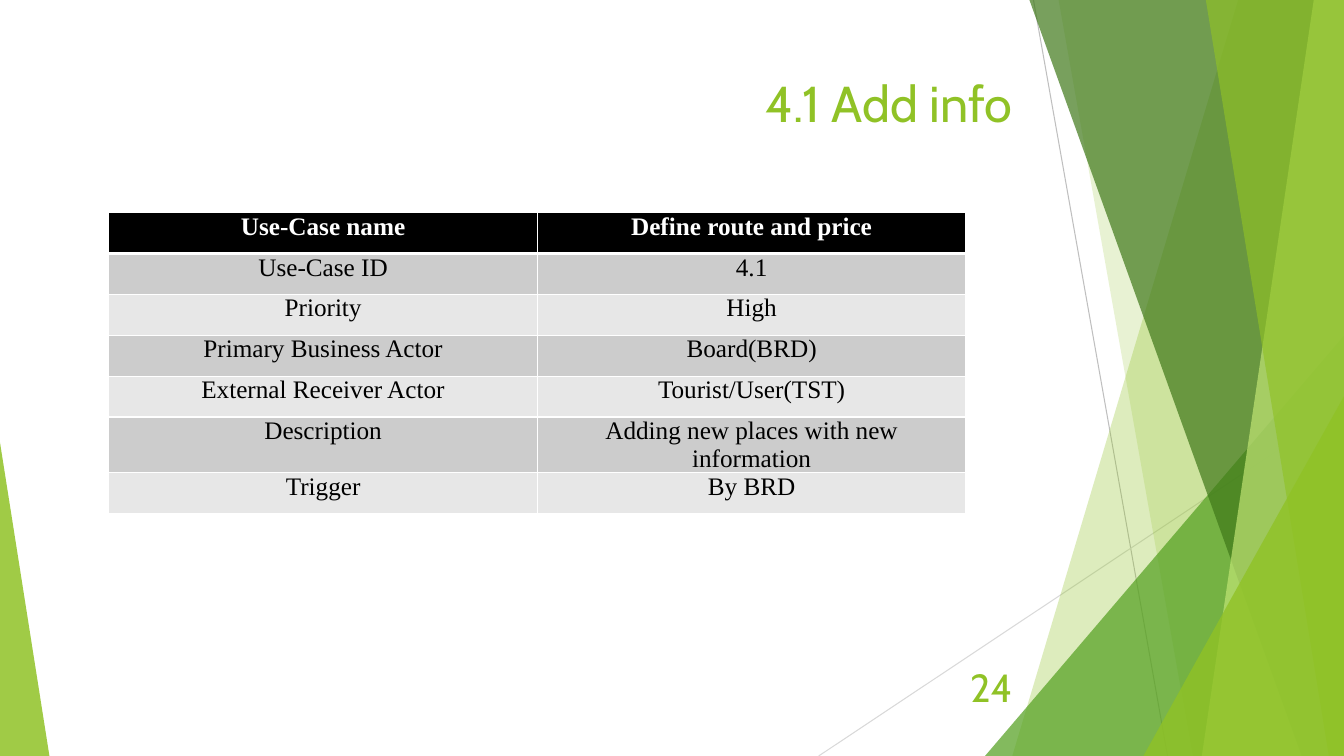
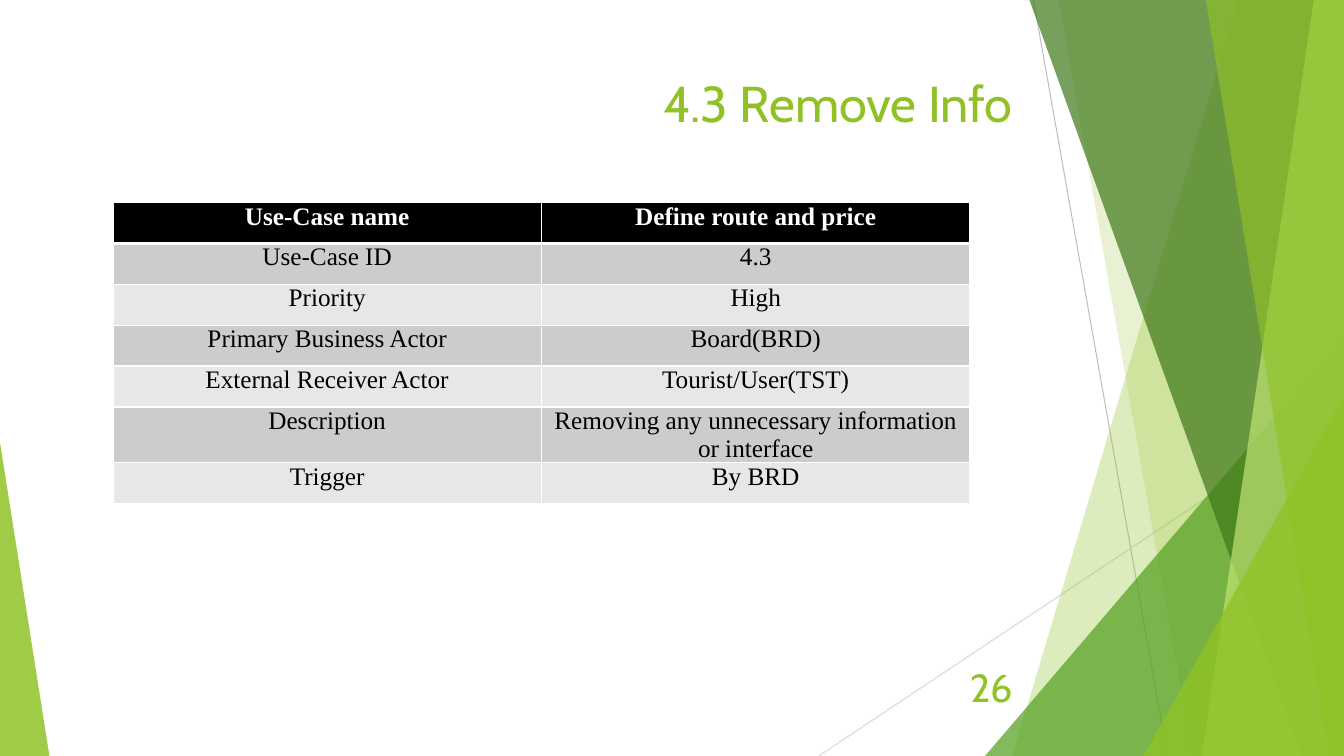
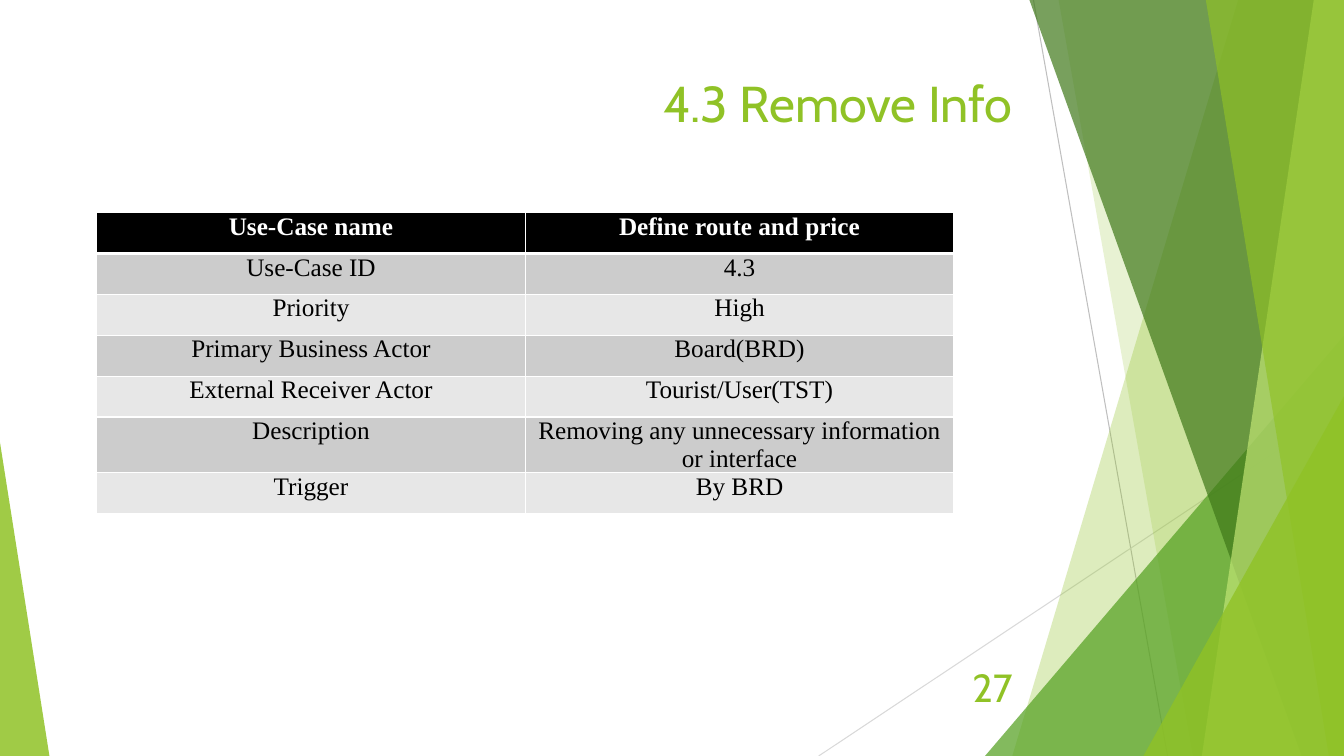
"""Build three use-case slides on a shared green layout."""
from dataclasses import dataclass

from lxml import etree
from pptx import Presentation
from pptx import util as u
from pptx.dml.color import RGBColor
from pptx.enum import shapes, text
from pptx.oxml.ns import qn

WIDE, HIGH = 13.33, 7.5


@dataclass(frozen=True)
class Theme:
    """Colours, fonts and type sizes."""
    lime: str = "90C226"
    leaf: str = "54A021"
    moss: str = "3F7819"
    pale: str = "C0E474"
    white: str = "FFFFFF"
    black: str = "000000"
    rows: tuple = ("E7E7E7", "CCCCCC")
    sans: str = "Cabin"
    serif: str = "Times New Roman"
    title: int = 36
    folio: int = 28
    cell: int = 18


T = Theme()

LINES = [
    ((10.25, 0), (11.58, HIGH), "BFBFBF"),
    ((WIDE, 4.03), (8.12, HIGH), "D9D9D9"),
]
BANDS = [
    ("quad", (12.28, 10.04), T.lime, 30),
    ("quad", (10.5, 11.83), T.lime, 20),
    ("wedge", (9.77, 3.33, 3.56, 1), T.leaf, 72),
    ("quad", (10.21, 12.91), T.moss, 70),
    ("quad", (13.03, 11.92), T.pale, 70),
    ("quad", (11.96, 13.18), T.lime, 65),
    ("wedge", (11.34, 3.93, 1.99, 1), T.lime, 80),
    ("wedge", (0, 4.39, 0.49, 0), T.lime, 85),
]
REMOVE = "Removing any unnecessary information or interface"
PAGES = [
    ("4.1 Add info", "24", (1.08, 2.11), "4.1", "Adding new places with new information"),
    ("4.3 Remove Info", "26", (1.12, 2.01), "4.3", REMOVE),
    ("4.3 Remove Info", "27", (0.96, 2.11), "4.3", REMOVE),
]


def make_rows(code, about):
    """Return the table text for one use case."""
    return [
        ("Use-Case name", "Define route and price"),
        ("Use-Case ID", code),
        ("Priority", "High"),
        ("Primary Business Actor", "Board(BRD)"),
        ("External Receiver Actor", "Tourist/User(TST)"),
        ("Description", about),
        ("Trigger", "By BRD"),
    ]


def style(para, face, size, tint, align, bold=False):
    """Set the type and alignment of a paragraph."""
    para.alignment = align
    font = para.font
    font.name, font.size, font.bold = face, u.Pt(size), bold
    font.color.rgb = RGBColor.from_string(tint)


def draw_line(slide, start, end, tint):
    """Draw a thin straight line."""
    ends = [u.Inches(n) for n in start + end]
    line = slide.shapes.add_connector(shapes.MSO_CONNECTOR.STRAIGHT, *ends)
    line.line.color.rgb = RGBColor.from_string(tint)
    line.line.width = u.Pt(0.75)
    etree.SubElement(line.element.spPr, qn("a:effectLst"))


def draw_band(slide, kind, geom, tint, alpha):
    """Draw a translucent quad or wedge that reaches the slide's foot."""
    if kind == "quad":
        top, foot = geom
        start, *rest = [(u.Inches(x), u.Inches(y)) for x, y in
                        ((top, 0), (WIDE, 0), (WIDE, HIGH), (foot, HIGH))]
        pen = slide.shapes.build_freeform(*start)
        pen.add_line_segments(rest, close=True)
        band = pen.convert_to_shape()
    else:
        left, top, width, peak = geom
        box = [u.Inches(n) for n in (left, top, width, HIGH - top)]
        band = slide.shapes.add_shape(shapes.MSO_SHAPE.ISOSCELES_TRIANGLE, *box)
        band.adjustments[0] = peak
    band.shadow.inherit = False
    band.line.fill.background()
    band.fill.solid()
    band.fill.fore_color.rgb = RGBColor.from_string(tint)
    clr = band.element.spPr.find(".//" + qn("a:srgbClr"))
    etree.SubElement(clr, qn("a:alpha"), val=str(alpha * 1000))


def dress(deck, layout):
    """Put the title frame and the bands on the layout; return the first slide."""
    for hold in list(layout.placeholders)[1:]:
        hold.element.getparent().remove(hold.element)
    head = layout.placeholders[0]
    head.left, head.top, head.width, head.height = [
        u.Inches(n) for n in (0.74, 0.67, 9.4, 1.44)]
    slide = deck.slides.add_slide(layout)
    for line in LINES:
        draw_line(slide, *line)
    for band in BANDS:
        draw_band(slide, *band)
    for part in list(slide.shapes):
        if not part.is_placeholder:
            head.element.addprevious(part.element)
    return slide


def edge(cell, row):
    """Give a cell white borders, thick below the head row."""
    props = cell._tc.get_or_add_tcPr()
    wide = {"T": 3 if row == 1 else 1, "B": 3 if row == 0 else 1}
    for spot, side in enumerate("LRTB"):
        line = etree.Element(qn("a:ln" + side), w=str(u.Pt(wide.get(side, 1))))
        fill = etree.SubElement(line, qn("a:solidFill"))
        etree.SubElement(fill, qn("a:srgbClr"), val=T.white)
        props.insert(spot, line)


def draw_table(slide, spot, rows):
    """Add the use-case table."""
    box = [u.Inches(n) for n in (*spot, 8.5, 2.84)]
    grid = slide.shapes.add_table(len(rows), len(rows[0]), *box).table
    for r, row in enumerate(rows):
        for c, words in enumerate(row):
            cell = grid.cell(r, c)
            cell.text = words
            cell.margin_left = cell.margin_right = u.Inches(0.07)
            cell.margin_top = cell.margin_bottom = 0
            cell.fill.solid()
            cell.fill.fore_color.rgb = RGBColor.from_string(T.rows[r % 2] if r else T.black)
            style(cell.text_frame.paragraphs[0], T.serif, T.cell,
                  T.black if r else T.white, text.PP_ALIGN.CENTER, r == 0)
            edge(cell, r)


def fill_page(slide, title, folio, spot, code, about):
    """Write the title, table and page number."""
    head = slide.shapes.title.text_frame
    head.text = title
    head.vertical_anchor = text.MSO_ANCHOR.TOP
    style(head.paragraphs[0], T.sans, T.title, T.lime, text.PP_ALIGN.RIGHT)
    draw_table(slide, spot, make_rows(code, about))
    box = [u.Inches(n) for n in (9.39, 6.61, 0.75, 0.4)]
    foot = slide.shapes.add_textbox(*box).text_frame
    foot.word_wrap = True
    foot.vertical_anchor = text.MSO_ANCHOR.MIDDLE
    foot.text = folio
    style(foot.paragraphs[0], T.sans, T.folio, T.lime, text.PP_ALIGN.RIGHT)


def main():
    """Build and save the deck."""
    deck = Presentation()
    deck.slide_width, deck.slide_height = u.Inches(WIDE), u.Inches(HIGH)
    layout = deck.slide_layouts[5]
    slide = dress(deck, layout)
    for n, page in enumerate(PAGES):
        fill_page(deck.slides.add_slide(layout) if n else slide, *page)
    deck.save("out.pptx")


if __name__ == "__main__":
    main()
